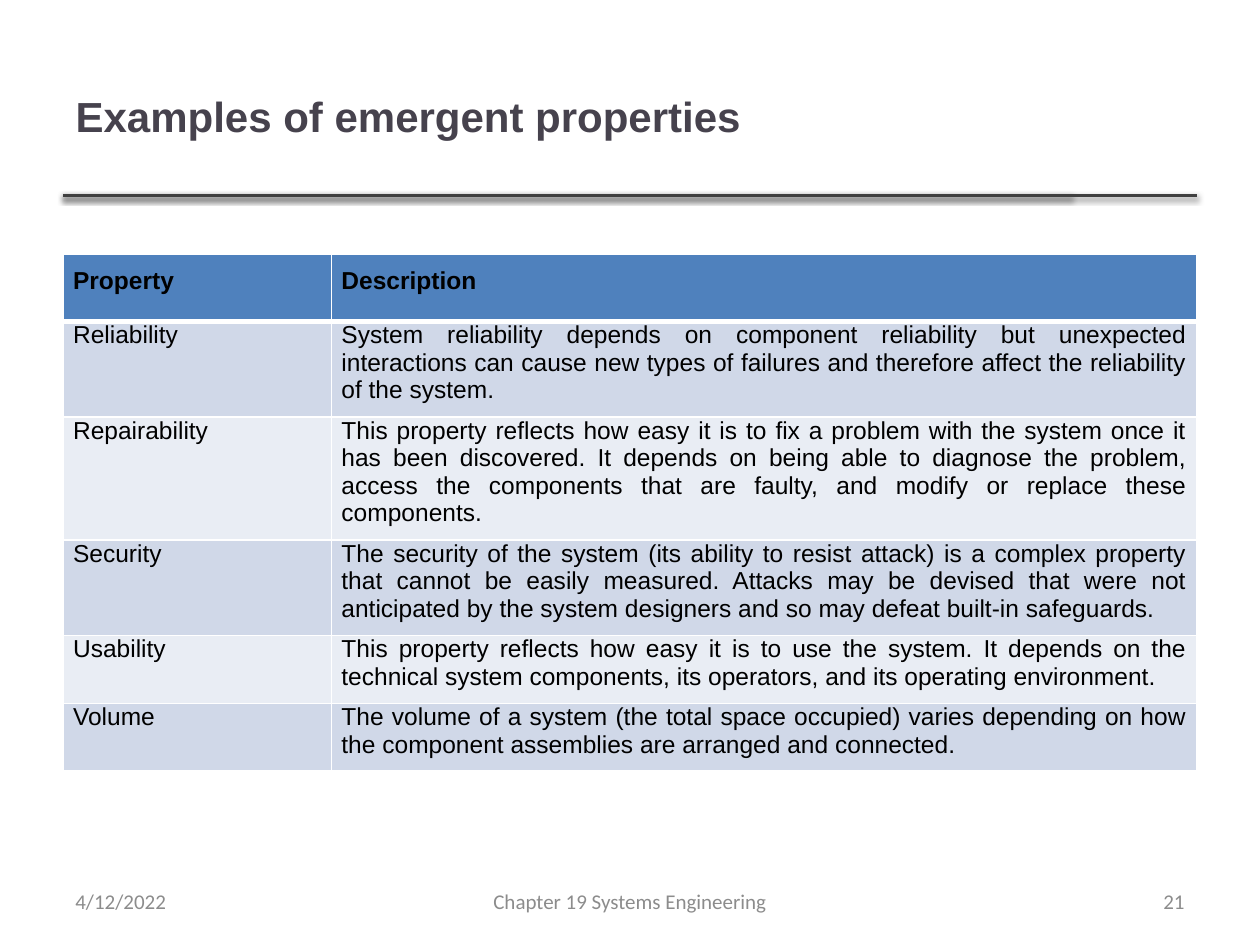
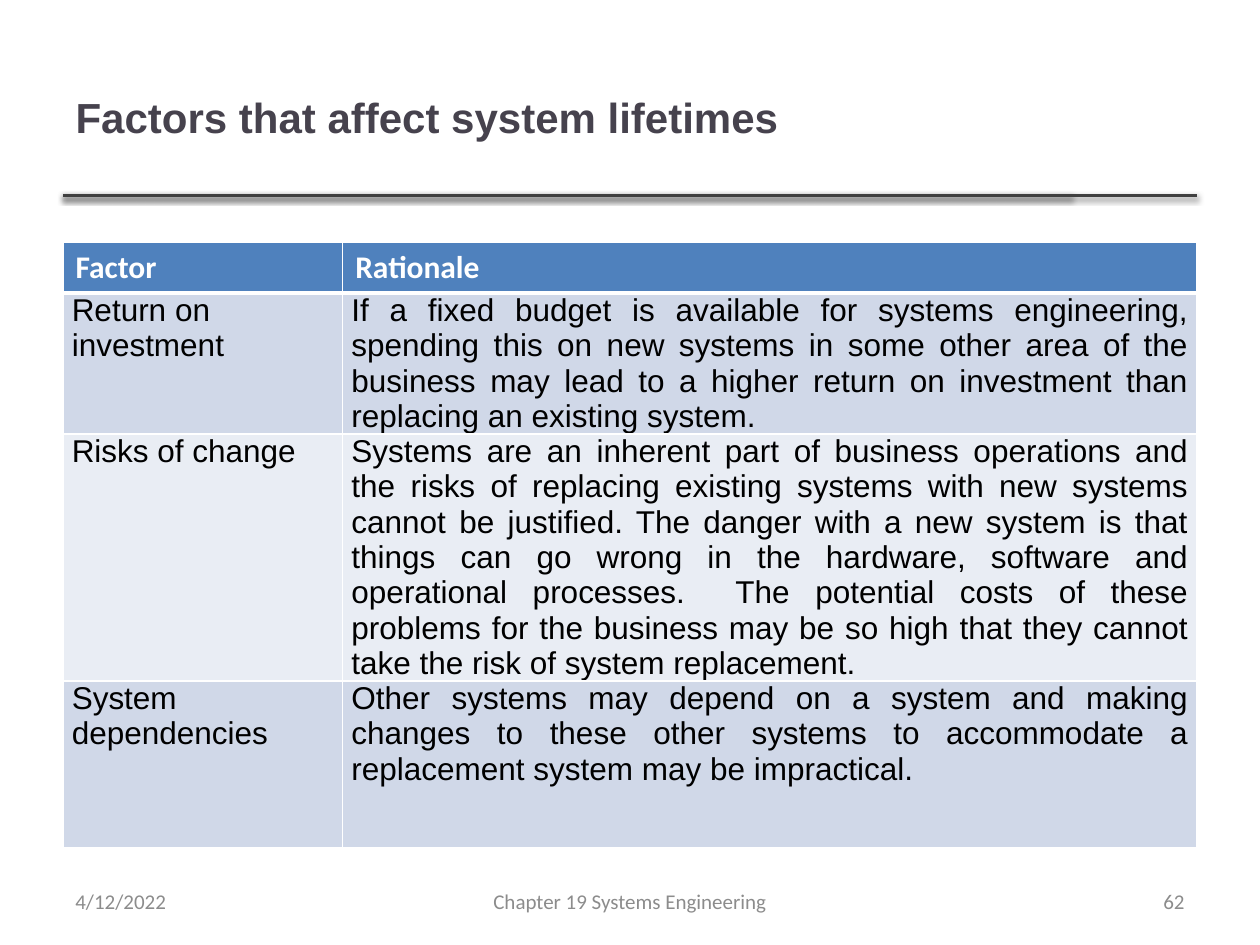
import collections
import dataclasses

import lxml.etree
import pptx
import pptx.dml.color
import pptx.enum.shapes
import pptx.enum.text
import pptx.oxml
import pptx.oxml.ns
import pptx.util

Inches, Pt = pptx.util.Inches, pptx.util.Pt
RGB = pptx.dml.color.RGBColor.from_string
ALIGN = pptx.enum.text.PP_ALIGN
MIDDLE = pptx.enum.text.MSO_ANCHOR.MIDDLE

Box = collections.namedtuple("Box", "left top width height")


@dataclasses.dataclass(frozen=True)
class Theme:
    width: float = 10
    height: float = 7.5
    margin: float = 0.5
    rule_y: float = 1.55
    heading_font: str = "Arial"
    plain_font: str = "Calibri"
    title_size: int = 24
    footer_size: int = 12
    title: str = "46424D"
    rule: str = "404040"
    footer: str = "8C8C8C"
    header_fill: str = "4F81BD"
    bands: tuple = ("D0D8E8", "E9EDF4")
    text: str = "000000"
    border: str = "FFFFFF"


@dataclasses.dataclass(frozen=True)
class CellStyle:
    size: int
    font: str = "Arial"
    color: str = Theme.text
    bold: bool = False
    align: ALIGN = ALIGN.JUSTIFY
    side: float = 0.08
    top: float = 0
    bottom: float = 0


T = Theme()
CONTENT = T.width - 2 * T.margin


def style_paragraph(p, font, size, color, align, bold=False):
    p.alignment = align
    p.font.name, p.font.size, p.font.bold = font, Pt(size), bold
    p.font.color.rgb = RGB(color)


def inches(box):
    return [Inches(v) for v in box]


def add_title(s, text, box):
    title = s.shapes.title
    title.left, title.top, title.width, title.height = inches(box)
    tf = title.text_frame
    tf.text, tf.vertical_anchor = text, MIDDLE
    style_paragraph(tf.paragraphs[0], T.heading_font, T.title_size, T.title,
                    ALIGN.LEFT, True)


def add_rules(s):
    """Two overlapping shadowed lines, the shorter one a unit narrower."""
    for length in (CONTENT - 1, CONTENT):
        line = s.shapes.add_connector(
            pptx.enum.shapes.MSO_CONNECTOR.STRAIGHT,
            Inches(T.margin), Inches(T.rule_y),
            Inches(T.margin + length), Inches(T.rule_y))
        line.line.color.rgb, line.line.width = RGB(T.rule), Pt(2)
        line._element.spPr.append(pptx.oxml.parse_xml(
            f'<a:effectLst {pptx.oxml.ns.nsdecls("a")}>'
            f'<a:outerShdw blurRad="{Pt(3.1)}" dist="{Pt(1.6)}" dir="5400000" '
            'rotWithShape="0"><a:srgbClr val="000000"><a:alpha val="38000"/>'
            '</a:srgbClr></a:outerShdw></a:effectLst>'))


def add_footer(s, number, box):
    side, middle = 2.33, 3.17
    parts = (
        ("4/12/2022", 0, side, ALIGN.LEFT),
        ("Chapter 19 Systems Engineering", (box.width - middle) / 2, middle, ALIGN.CENTER),
        (str(number), box.width - side, side, ALIGN.RIGHT),
    )
    for text, offset, width, align in parts:
        part = Box(box.left + offset, box.top, width, box.height)
        tf = s.shapes.add_textbox(*inches(part)).text_frame
        tf.word_wrap, tf.vertical_anchor, tf.text = True, MIDDLE, text
        style_paragraph(tf.paragraphs[0], T.plain_font, T.footer_size, T.footer, align)


def set_borders(cell, bottom):
    tcPr = cell._tc.get_or_add_tcPr()
    for i, (side, width) in enumerate((("L", 1), ("R", 1), ("T", 1), ("B", bottom))):
        ln = lxml.etree.Element(pptx.oxml.ns.qn(f"a:ln{side}"), w=str(Pt(width)))
        fill = lxml.etree.SubElement(ln, pptx.oxml.ns.qn("a:solidFill"))
        lxml.etree.SubElement(fill, pptx.oxml.ns.qn("a:srgbClr"), val=T.border)
        tcPr.insert(i, ln)


def fill_cell(cell, text, style, fill, bottom_border):
    cell.text = text
    cell.margin_left = cell.margin_right = Inches(style.side)
    cell.margin_top, cell.margin_bottom = Inches(style.top), Inches(style.bottom)
    cell.fill.solid()
    cell.fill.fore_color.rgb = RGB(fill)
    set_borders(cell, bottom_border)
    style_paragraph(cell.text_frame.paragraphs[0], style.font, style.size,
                    style.color, style.align, style.bold)


def add_banded_table(s, rows, box, first_share, row_heights, header, columns):
    """Fill a two-column table; columns holds the body style of each column."""
    table = s.shapes.add_table(len(rows), 2, *inches(box)).table
    for column, share in zip(table.columns, (first_share, 1 - first_share)):
        column.width = Inches(box.width * share)
    for i, (texts, height) in enumerate(zip(rows, row_heights)):
        table.rows[i].height = Inches(height)
        fill = T.bands[(i - 1) % 2] if i else T.header_fill
        for j, text in enumerate(texts):
            fill_cell(table.cell(i, j), text, columns[j] if i else header,
                      fill, 1 if i else 3)


def add_table_slide(prs, title, title_box, number, rows, top, row_heights, **table):
    s = prs.slides.add_slide(prs.slide_layouts[5])
    add_rules(s)
    add_title(s, title, title_box)
    box = Box(T.margin, top, CONTENT, sum(row_heights))
    add_banded_table(s, rows, box, row_heights=row_heights, **table)
    add_footer(s, number, Box(T.margin, 6.95, CONTENT, 0.4))


PROPERTIES = (
    ("Property", "Description"),
    ("Reliability",
     "System reliability depends on component reliability but unexpected interactions "
     "can cause new types of failures and therefore affect the reliability of the system."),
    ("Repairability",
     "This property reflects how easy it is to fix a problem with the system once it has "
     "been discovered. It depends on being able to diagnose the problem, access the "
     "components that are faulty, and modify or replace these components."),
    ("Security",
     "The security of the system (its ability to resist attack) is a complex property that "
     "cannot be easily measured. Attacks may be devised that were not anticipated by the "
     "system designers and so may defeat built-in safeguards."),
    ("Usability",
     "This property reflects how easy it is to use the system. It depends on the technical "
     "system components, its operators, and its operating environment."),
    ("Volume",
     "The volume of a system (the total space occupied) varies depending on how the "
     "component assemblies are arranged and connected."),
)

FACTORS = (
    ("Factor", "Rationale"),
    ("Return on investment",
     "If a fixed budget is available for systems engineering, spending this on new systems "
     "in some other area of the business may lead to a higher return on investment than "
     "replacing an existing system."),
    ("Risks of change",
     "Systems are an inherent part of business operations and the risks of replacing "
     "existing systems with new systems cannot be justified. The danger with a new system "
     "is that things can go wrong in the hardware, software and operational processes.  "
     "The potential costs of these problems for the business may be so high that they "
     "cannot take the risk of system replacement."),
    ("System dependencies",
     "Other systems may depend on a system and making changes to these other systems to "
     "accommodate a replacement system may be impractical."),
)


def main():
    prs = pptx.Presentation()
    prs.slide_width, prs.slide_height = Inches(T.width), Inches(T.height)

    body = CellStyle(14, bottom=0.1)
    add_table_slide(
        prs, "Examples of emergent properties", Box(T.margin, 0.29, CONTENT, 1.25), 21,
        PROPERTIES, top=2.02, row_heights=(0.53, 0.76, 0.97, 0.76, 0.53, 0.53),
        first_share=2.13 / CONTENT, columns=(body, body),
        header=dataclasses.replace(body, bold=True, top=0.1))

    body = CellStyle(18, side=0.07)
    add_table_slide(
        prs, "Factors that affect system lifetimes", Box(T.margin, 0.3, 7.98, 1.25), 62,
        FACTORS, top=1.92, row_heights=(0.4, 1.12, 1.96, 1.32),
        first_share=2.22 / CONTENT,
        columns=(dataclasses.replace(body, align=ALIGN.LEFT), body),
        header=CellStyle(18, T.plain_font, T.border, True, ALIGN.LEFT, 0.1, 0.05, 0.05))

    prs.save("out.pptx")


if __name__ == "__main__":
    main()
